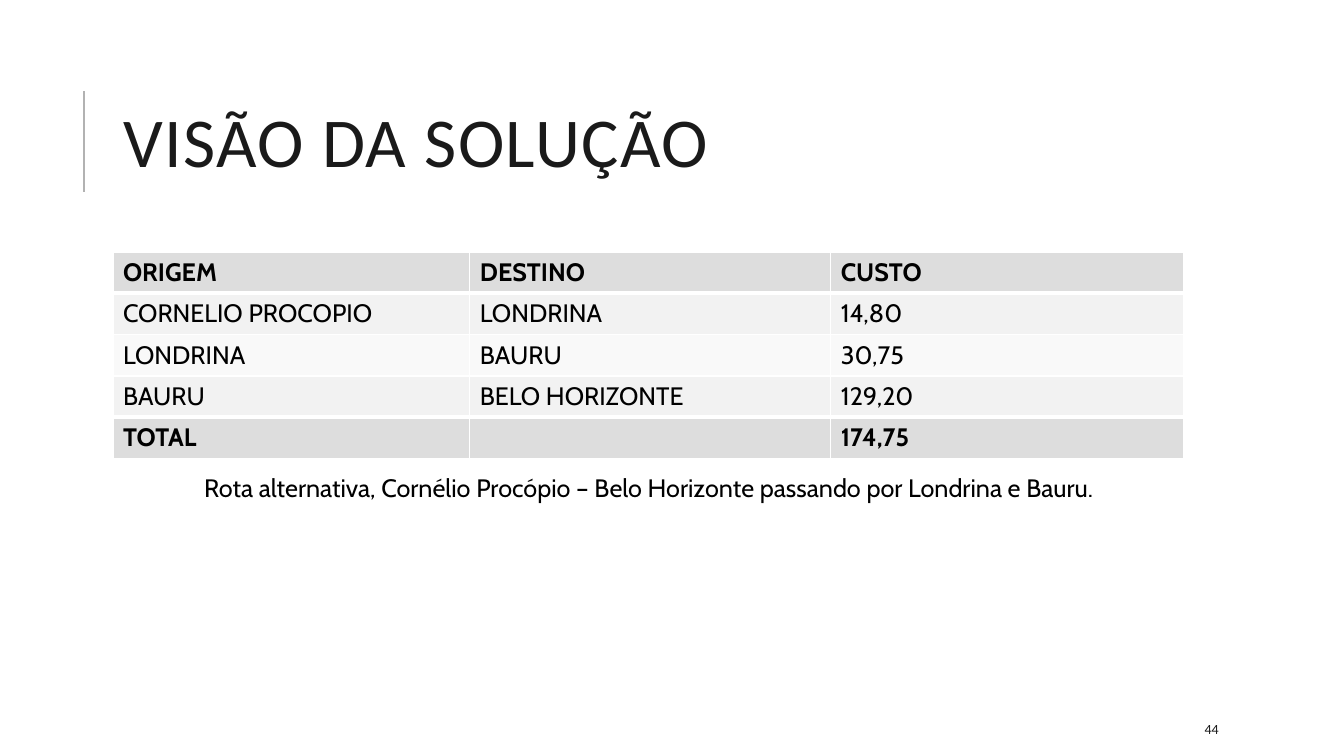
from lxml import etree
from pptx import Presentation
from pptx import util as u
from pptx.dml.color import RGBColor
from pptx.enum import shapes, text
from pptx.oxml import ns

# Content
TITLE = "VISÃO DA SOLUÇÃO"
ROUTE = [
    ("ORIGEM", "DESTINO", "CUSTO"),
    ("CORNELIO PROCOPIO", "LONDRINA", "14,80"),
    ("LONDRINA", "BAURU", "30,75"),
    ("BAURU", "BELO HORIZONTE", "129,20"),
    ("TOTAL", "", "174,75"),
]
CAPTION = "Rota alternativa, Cornélio Procópio – Belo Horizonte passando por Londrina e Bauru."
PAGE_NUMBER = "44"

# Style and layout
BLACK = RGBColor(0x00, 0x00, 0x00)
INK = RGBColor(0x1A, 0x1A, 0x1A)
RULE_GRAY = RGBColor(0xB2, 0xB2, 0xB2)
STRONG_FILL = RGBColor(0xDD, 0xDD, 0xDD)
BAND_FILLS = (RGBColor(0xF9, 0xF9, 0xF9), RGBColor(0xF2, 0xF2, 0xF2))
WHITE = RGBColor(0xFF, 0xFF, 0xFF)
LEFT, WIDTH = 1.12, 10.63
COLUMN_WIDTHS = (3.54, 3.58, 3.5)
ROW_HEIGHT = 0.41


def format_runs(paragraph, font_name, size, color, bold=False):
    for run in paragraph.runs:
        run.font.name = font_name
        run.font.size = u.Pt(size)
        run.font.color.rgb = color
        run.font.bold = bold


def add_text(slide, content, box, font_name, size, color, align):
    shape = slide.shapes.add_textbox(*map(u.Inches, box))
    frame = shape.text_frame
    frame.word_wrap = True
    frame.vertical_anchor = text.MSO_ANCHOR.MIDDLE
    frame.text = content
    frame.paragraphs[0].alignment = align
    format_runs(frame.paragraphs[0], font_name, size, color)


def set_borders(cell, widths):
    properties = cell._tc.get_or_add_tcPr()
    for side, width in widths.items():
        line = etree.SubElement(properties, ns.qn("a:ln" + side), w=str(u.Pt(width)))
        fill = etree.SubElement(line, ns.qn("a:solidFill"))
        etree.SubElement(fill, ns.qn("a:srgbClr"), val=str(WHITE))


def add_title(slide):
    title = slide.shapes.title
    title.left, title.top, title.width, title.height = map(u.Inches, (LEFT, 0.64, WIDTH, 1.64))
    frame = title.text_frame
    frame.text = TITLE
    frame.auto_size = text.MSO_AUTO_SIZE.NONE
    frame.vertical_anchor = text.MSO_ANCHOR.MIDDLE
    paragraph = frame.paragraphs[0]
    paragraph.alignment = text.PP_ALIGN.LEFT
    paragraph.line_spacing = 0.8
    format_runs(paragraph, "Calibri", 50, INK)
    paragraph.runs[0].font._element.set("spc", "100")

    # Vertical rule beside the title
    rule = slide.shapes.add_connector(
        shapes.MSO_CONNECTOR.STRAIGHT, *map(u.Inches, (0.83, 1.9, 0.83, 0.9)))
    rule.line.color.rgb = RULE_GRAY
    rule.line.width = u.Pt(1.5)
    etree.SubElement(rule._element.spPr, ns.qn("a:effectLst"))


def add_route_table(slide):
    last = len(ROUTE) - 1
    table = slide.shapes.add_table(
        len(ROUTE), len(COLUMN_WIDTHS), u.Inches(LEFT), u.Inches(2.5),
        u.Inches(WIDTH), u.Inches(ROW_HEIGHT * len(ROUTE))).table
    table.last_row = True
    for column, width in zip(table.columns, COLUMN_WIDTHS):
        column.width = u.Inches(width)
    for r, values in enumerate(ROUTE):
        table.rows[r].height = u.Inches(ROW_HEIGHT)
        strong = r in (0, last)
        # Thick lines set off the header and total rows
        top = 3 if r in (1, last) else 1
        bottom = 3 if r in (0, last - 1) else 1
        for c, value in enumerate(values):
            cell = table.cell(r, c)
            cell.text = value
            format_runs(cell.text_frame.paragraphs[0], "Cabin", 18, BLACK, strong)
            set_borders(cell, {"L": 1, "R": 1, "T": top, "B": bottom})
            cell.fill.solid()
            cell.fill.fore_color.rgb = STRONG_FILL if strong else BAND_FILLS[r % 2]


def main():
    presentation = Presentation()
    presentation.slide_width = u.Inches(13.33)
    presentation.slide_height = u.Inches(7.5)
    slide = presentation.slides.add_slide(presentation.slide_layouts.get_by_name("Title Only"))
    add_title(slide)
    add_route_table(slide)
    add_text(slide, CAPTION, (LEFT, 4.64, WIDTH, 0.4), "Cabin", 18, BLACK, text.PP_ALIGN.CENTER)
    add_text(slide, PAGE_NUMBER, (11.85, 7.08, 1.06, 0.3), "Calibri", 10, INK, text.PP_ALIGN.LEFT)
    presentation.save("out.pptx")


if __name__ == "__main__":
    main()
